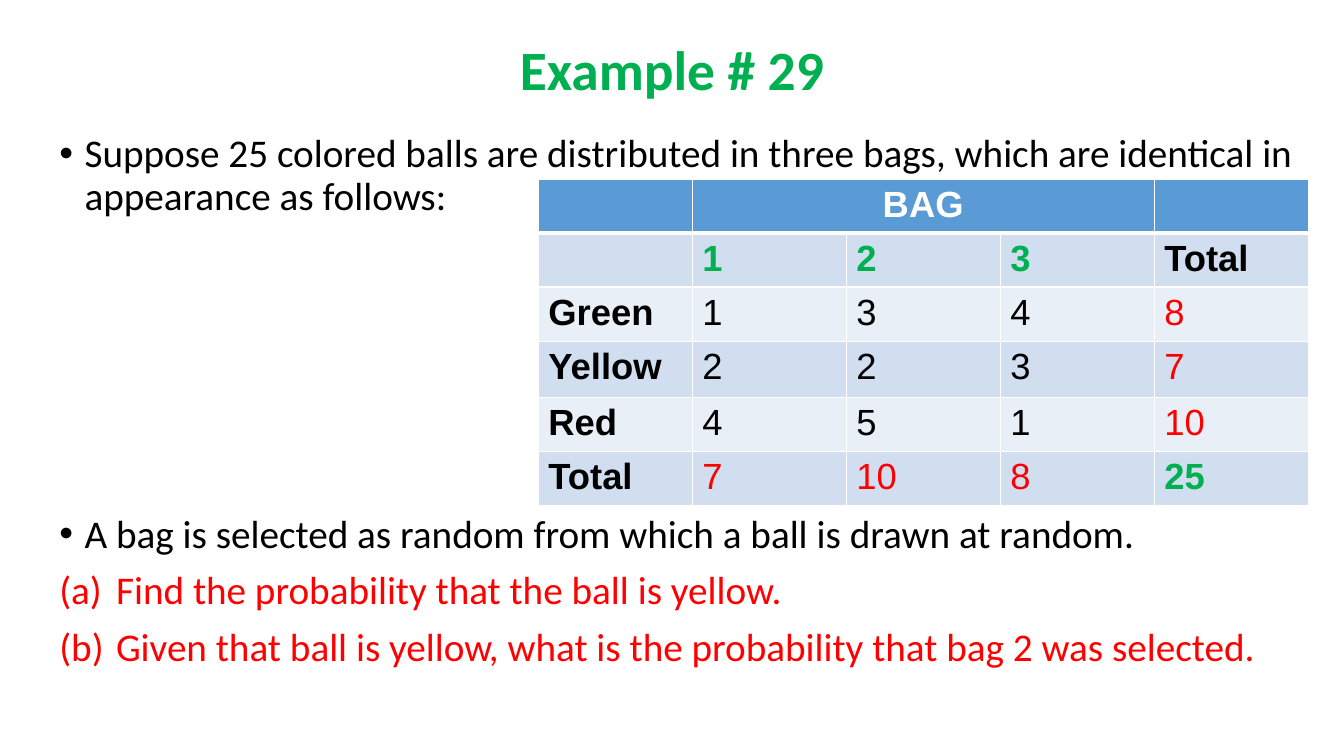
"""Build the slide of Example 29: coloured balls in three bags."""
from lxml.etree import SubElement
from pptx import Presentation
from pptx.dml.color import RGBColor
from pptx.enum.text import MSO_ANCHOR as Anchor, PP_ALIGN as Align
from pptx.oxml.ns import qn
from pptx.util import Pt

GREEN, RED, BLACK, WHITE = "00B050", "FF0000", "000000", "FFFFFF"
HEADER, BAND_DARK, BAND_LIGHT = "5B9BD5", "D0DEEF", "E9EFF7"

COUNTS = [
    ["", "BAG", "", "", ""],
    ["", "1", "2", "3", "Total"],
    ["Green", "1", "3", "4", "8"],
    ["Yellow", "2", "2", "3", "7"],
    ["Red", "4", "5", "1", "10"],
    ["Total", "7", "10", "8", "25"],
]
ROW_HEIGHTS = [37.4, 37.4, 38.9, 40.3, 37.4, 37.4]


def paint(colour_format, colour):
    colour_format.rgb = RGBColor.from_string(colour)


def write(paragraph, text, *, size, font="Calibri", colour=BLACK, bold=False,
          align=Align.LEFT, spacing=None, before=0):
    paragraph.alignment = align
    paragraph.line_spacing = spacing
    paragraph.space_before = Pt(before)
    run = paragraph.add_run()
    run.text = text
    run.font.size, run.font.name, run.font.bold = Pt(size), font, bold
    paint(run.font.color, colour)


def add_bullet(paragraph, indent, tag, **attributes):
    props = paragraph._p.get_or_add_pPr()
    props.set("marL", str(Pt(indent)))
    props.set("indent", str(-Pt(indent)))
    if tag == "a:buChar":
        SubElement(props, qn("a:buFont"), typeface="Arial")
    SubElement(props, qn(tag), **attributes)


def add_frame(slide, box, anchor=Anchor.TOP):
    frame = slide.shapes.add_textbox(*map(Pt, box)).text_frame
    frame.word_wrap = True
    frame.vertical_anchor = anchor
    return frame


def add_title(slide, box):
    heading = add_frame(slide, box, Anchor.MIDDLE).paragraphs[0]
    write(heading, "Example # 29", size=39.6, colour=GREEN, bold=True,
          align=Align.CENTER, spacing=0.9)


def add_statements(slide, box, statements, questions=()):
    frame = add_frame(slide, box)
    for index, text in enumerate([*statements, *questions]):
        paragraph = frame.add_paragraph() if index else frame.paragraphs[0]
        is_question = index >= len(statements)
        write(paragraph, text, size=28, spacing=0.9, before=10 if index else 0,
              colour=RED if is_question else BLACK)
        if is_question:
            add_bullet(paragraph, 40.5, "a:buAutoNum", type="alphaLcParenBoth")
        else:
            add_bullet(paragraph, 18, "a:buChar", char="•")


def add_borders(cell, row):
    widths = {"L": 1, "R": 1, "T": 3 if row == 1 else 1, "B": 3 if row == 0 else 1}
    props = cell._tc.get_or_add_tcPr()
    for side, width in widths.items():
        line = SubElement(props, qn(f"a:ln{side}"), w=str(Pt(width)))
        SubElement(SubElement(line, qn("a:solidFill")), qn("a:srgbClr"), val=WHITE)


def count_style(row, column):
    """Return the colour and weight of the text in a cell of the count table."""
    last_row, last_column = row == len(COUNTS) - 1, column == len(COUNTS[0]) - 1
    if row == 0:
        return WHITE, True
    if column == 0 or (row == 1 and last_column):
        return BLACK, True
    if row == 1 or (last_row and last_column):
        return GREEN, True
    return (RED if last_row or last_column else BLACK), False


def add_counts(slide, box):
    left, top, width, height = box
    columns = len(COUNTS[0])
    table = slide.shapes.add_table(len(COUNTS), columns, Pt(left), Pt(top),
                                   Pt(width), Pt(height)).table
    for column in table.columns:
        column.width = Pt(width / columns)
    for row, labels in enumerate(COUNTS):
        table.rows[row].height = Pt(ROW_HEIGHTS[row])
        band = BAND_DARK if row % 2 else BAND_LIGHT
        for column, label in enumerate(labels):
            cell = table.cell(row, column)
            add_borders(cell, row)
            cell.fill.solid()
            paint(cell.fill.fore_color, band if row else HEADER)
            if label:
                colour, bold = count_style(row, column)
                write(cell.text_frame.paragraphs[0], label, size=26, font="Arial",
                      colour=colour, bold=bold,
                      align=Align.LEFT if row else Align.CENTER)
    table.cell(0, 1).merge(table.cell(0, 3))


deck = Presentation()
deck.slide_width, deck.slide_height = Pt(960), Pt(540)
example = deck.slides.add_slide(deck.slide_layouts[6])
add_title(example, (66, 28.8, 828, 45.4))
add_statements(example, (35.3, 92.2, 899.3, 72), [
    "Suppose 25 colored balls are distributed in three bags, "
    "which are identical in appearance as follows:"])
add_statements(example, (35.3, 364, 899.3, 160),
               ["A bag is selected as random from which a ball is drawn at random."],
               ["Find the probability that the ball is yellow.",
                "Given that ball is yellow, what is the probability that bag 2 was selected."])
add_counts(example, (384.5, 128.2, 550, sum(ROW_HEIGHTS)))
deck.save("out.pptx")
